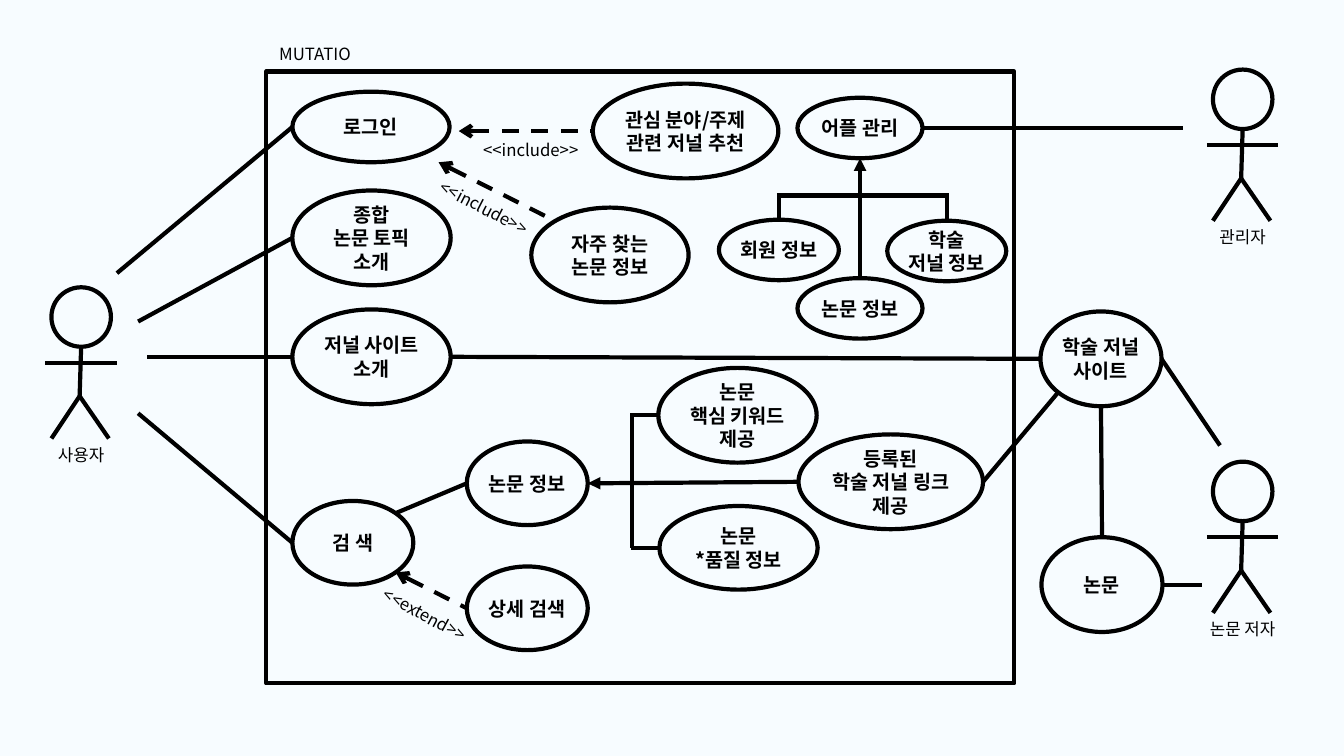
import dataclasses

import lxml.etree
import pptx
import pptx.dml.color
import pptx.enum.dml
import pptx.enum.shapes
import pptx.enum.text
import pptx.oxml.ns
import pptx.util

COLS, ROWS = 133.3, 75
SHAPE = pptx.enum.shapes.MSO_SHAPE
ANCHOR = pptx.enum.text.MSO_ANCHOR
NEAR, FAR = 0.146, 0.854


@dataclasses.dataclass(frozen=True)
class Theme:
    """Colours, type sizes and line width of the diagram."""
    ink: str = "000000"
    paper: str = "F7FCFF"
    font: str = "Noto Sans CJK KR"
    case_size: int = 14
    label_size: int = 12
    stroke: int = 3


THEME = Theme()
prs = pptx.Presentation()
prs.slide_width, prs.slide_height = pptx.util.Inches(13.33), pptx.util.Inches(7.5)


def rgb(value):
    """Return a colour object for a hex value."""
    return pptx.dml.color.RGBColor.from_string(value)


def emu(*lengths):
    """Turn alternating column and row lengths into slide units."""
    steps = (prs.slide_width / COLS, prs.slide_height / ROWS)
    return [round(n * steps[i % 2]) for i, n in enumerate(lengths)]


def inside(box, part):
    """Move a part, given relative to a box, onto the slide grid."""
    return (box[0] + part[0], box[1] + part[1], *part[2:])


def at(box, fx, fy):
    """Return the point at the given shares of a box."""
    return box[0] + fx * box[2], box[1] + fy * box[3]


def ink_line(line):
    """Apply the common stroke to a line."""
    line.color.rgb = rgb(THEME.ink)
    line.width = pptx.util.Pt(THEME.stroke)


def write(sp, text, size, bold, inset, anchor):
    """Fill a shape with centred paragraphs."""
    tf = sp.text_frame
    frame = {"word_wrap": True, "vertical_anchor": anchor,
             "margin_left": inset[0], "margin_right": inset[0],
             "margin_top": inset[1], "margin_bottom": inset[1]}
    for name, value in frame.items():
        setattr(tf, name, value)
    for i, words in enumerate(text.split("\n")):
        p = tf.add_paragraph() if i else tf.paragraphs[0]
        p.alignment = pptx.enum.text.PP_ALIGN.CENTER
        r = p.add_run()
        r.text = words
        for name, value in {"size": pptx.util.Pt(size), "bold": bold, "name": THEME.font}.items():
            setattr(r.font, name, value)
        r.font.color.rgb = rgb(THEME.ink)
        ea = lxml.etree.SubElement(r._r.get_or_add_rPr(), pptx.oxml.ns.qn("a:ea"))
        ea.set("typeface", THEME.font)


def outline(shapes, box, kind=SHAPE.OVAL):
    """Draw an unfilled preset shape."""
    sp = shapes.add_shape(kind, *emu(*box))
    sp.shadow.inherit = False
    sp.fill.background()
    ink_line(sp.line)
    return sp


def link(shapes, start, end, head=None, dashed=False):
    """Draw a straight line, with an optional arrowhead at its start."""
    cx = shapes.add_connector(pptx.enum.shapes.MSO_CONNECTOR.STRAIGHT, *emu(*start, *end))
    ink_line(cx.line)
    if dashed:
        cx.line.dash_style = pptx.enum.dml.MSO_LINE.DASH
    if head:
        tip = lxml.etree.SubElement(cx.line._get_or_add_ln(), pptx.oxml.ns.qn("a:headEnd"))
        tip.set("type", head)
    lxml.etree.SubElement(cx._element.spPr, pptx.oxml.ns.qn("a:effectLst"))


def label(shapes, box, text, turn=0):
    """Place a small caption."""
    sp = shapes.add_textbox(*emu(*box))
    sp.rotation = turn
    inset = pptx.util.Inches(0.1), pptx.util.Inches(0.05)
    write(sp, text, THEME.label_size, False, inset, ANCHOR.TOP)
    sp.text_frame.auto_size = pptx.enum.text.MSO_AUTO_SIZE.SHAPE_TO_FIT_TEXT


def use_cases(shapes, box, cases):
    """Draw named ellipses inside a box and return their places."""
    places = {}
    for name, (text, part) in cases.items():
        places[name] = inside(box, part)
        sp = outline(shapes, places[name])
        write(sp, text, THEME.case_size, True, (0, 0), ANCHOR.MIDDLE)
    return places


def actor(shapes, box, name):
    """Draw a stick figure with its name below."""
    x, y, w, h = box
    group = shapes.add_group_shape().shapes
    outline(group, inside(box, (0.6, 0, 5.9, 5.9)))
    neck, hip = (x + w / 2, y + 5.9), (x + 3.4, y + 10.8)
    for start, end in ((neck, hip), (hip, (x + 0.6, y + h)), (hip, (x + 6.3, y + h)),
                       ((x, y + h / 2), (x + w, y + h / 2))):
        link(group, start, end)
    label(shapes, (x + w / 2 - 6.2, y + h + 0.1, 12.4, 3), name)


def system(shapes, box):
    """Draw the system boundary and its name."""
    outline(shapes, box, SHAPE.RECTANGLE)
    label(shapes, inside(box, (-1, -3.3, 11.7, 3)), "MUTATIO")


def services(shapes, box):
    """Draw the login, topic and journal use cases."""
    places = use_cases(shapes, box, {
        "login": ("로그인", (0, 0.8, 15.6, 7)),
        "topics": ("종합\n논문 토픽\n소개", (0, 10.6, 15.7, 9.4)),
        "journals": ("저널 사이트\n소개", (0, 22.4, 15.7, 9.4)),
        "interests": ("관심 분야/주제\n관련 저널 추천", (29.8, 0, 18.4, 9.4)),
        "frequent": ("자주 찾는\n논문 정보", (23.7, 12.3, 15.6, 9.4))})
    link(shapes, inside(box, (16.5, 4.7)), at(places["interests"], 0, 0.5), "arrow", True)
    link(shapes, inside(box, (14.5, 7.8)), inside(box, (26, 13.6)), "arrow", True)
    label(shapes, inside(box, (15.5, 5.1, 16.3, 3)), "<<include>>")
    label(shapes, inside(box, (11.2, 10.8, 15.6, 3)), "<<include>>", 27.2)
    return places


def management(shapes, box):
    """Draw the management tree."""
    places = use_cases(shapes, box, {
        "manage": ("어플 관리", (7.8, 0, 12.4, 6)),
        "members": ("회원 정보", (0, 12.1, 11.9, 6)),
        "papers": ("논문 정보", (7.8, 17.9, 12.4, 6)),
        "journal_info": ("학술\n저널 정보", (16.7, 12.2, 11.8, 6))})
    bus = box[1] + 9.7
    ends = [at(places[name], 0.5, 0) for name in ("members", "journal_info")]
    for x, y in ends:
        link(shapes, (x, bus), (x, y))
    link(shapes, (ends[0][0] - 0.2, bus), (ends[1][0] + 0.2, bus))
    link(shapes, at(places["manage"], 0.5, 1), at(places["papers"], 0.5, 0), "triangle")
    return places


def searching(shapes, box):
    """Draw the search use cases and the details they gather."""
    places = use_cases(shapes, box, {
        "search": ("검 색", (0, 13.2, 12, 8.3)),
        "paper_info": ("논문 정보", (17.3, 7.3, 12, 8.3)),
        "detail": ("상세 검색", (17.3, 19.7, 12, 8.3)),
        "keywords": ("논문\n핵심 키워드\n제공", (36.3, 0, 15.7, 9.4)),
        "quality": ("논문\n*품질 정보", (36.4, 13.7, 15.7, 8.3)),
        "links": ("등록된\n학술 저널 링크\n제공", (50.2, 6.6, 18.3, 9.4))})
    bus = box[0] + 33.7
    ends = [at(places[name], 0, 0.5) for name in ("keywords", "quality")]
    for x, y in ends:
        link(shapes, (bus - 0.1, y), (x, y))
    link(shapes, (bus, ends[0][1] - 0.2), (bus, ends[1][1]))
    link(shapes, at(places["paper_info"], 1, 0.5), at(places["links"], 0, 0.5), "triangle")
    link(shapes, at(places["search"], FAR, NEAR), at(places["paper_info"], 0, 0.5))
    link(shapes, at(places["search"], FAR, FAR), at(places["detail"], 0, 0.5), "arrow", True)
    label(shapes, inside(box, (5.5, 22.8, 14, 5.7)), "<<extend>>", 28.2)
    return places


def sources(shapes, box):
    """Draw the journal site and the paper outside the system."""
    places = use_cases(shapes, box, {
        "site": ("학술 저널\n사이트", (0, 0, 12, 9.4)),
        "paper": ("논문", (0.1, 22.4, 12, 9.4))})
    link(shapes, at(places["site"], 0.5, 1), at(places["paper"], 0.5, 0))
    return places


def use_case_slide(box):
    """Build the use case diagram and join its regions."""
    s = prs.slides.add_slide(prs.slide_layouts[6])
    s.background.fill.solid()
    s.background.fill.fore_color.rgb = rgb(THEME.paper)
    shapes = s.shapes
    system(shapes, inside(box, (26.4, 7.1, 74.2, 60.7)))
    places = {}
    for region, part in ((services, (29, 8.3, 48.2, 31.8)),
                         (management, (71.3, 9.7, 28.5, 23.9)),
                         (searching, (29, 36.5, 68.5, 28)),
                         (sources, (103.2, 30.9, 12.1, 31.8))):
        places.update(region(shapes, inside(box, part)))
    for name, x, y in (("사용자", 4.5, 28.5), ("관리자", 119.7, 6.9), ("논문 저자", 119.7, 45.8)):
        actor(shapes, inside(box, (x, y, 7.1, 15)), name)
    for point, name, side in (((11.6, 27.1), "login", 0), ((13.7, 31.9), "topics", 0),
                              ((14.6, 35.4), "journals", 0), ((13.7, 41), "search", 0),
                              ((117.3, 12.7), "manage", 1), ((121, 44.2), "site", 1),
                              ((119.2, 58), "paper", 1)):
        link(shapes, inside(box, point), at(places[name], side, 0.5))
    link(shapes, at(places["journals"], 1, 0.5), at(places["site"], 0, 0.5))
    link(shapes, at(places["links"], 1, 0.5), at(places["site"], NEAR, FAR))


use_case_slide((0, 0, COLS, ROWS))
prs.save("out.pptx")
